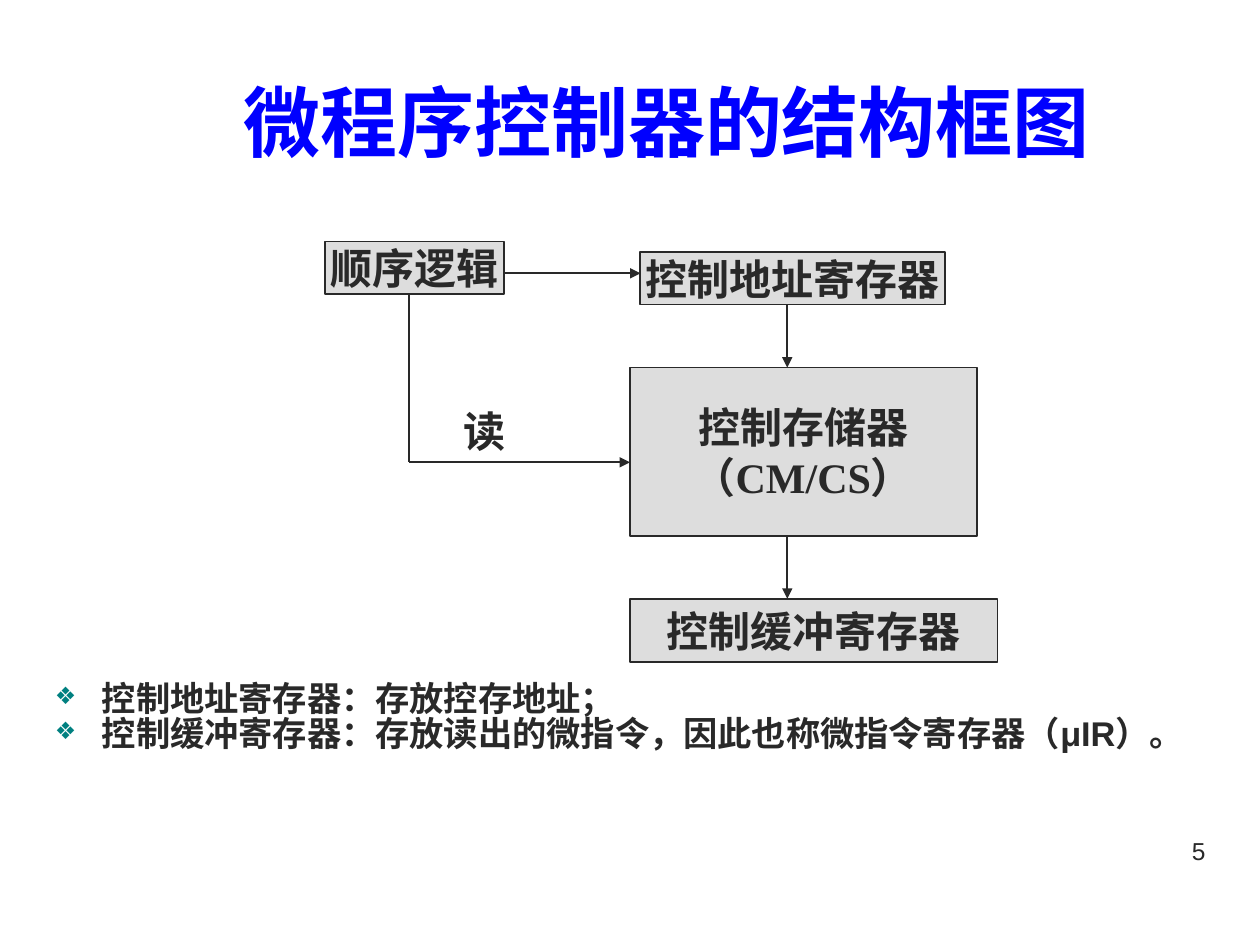
import pptx
import pptx.util
import pptx.dml.color
import pptx.enum.shapes
import pptx.enum.text
import pptx.oxml
import pptx.oxml.ns
from pptx.util import Cm

INK = pptx.dml.color.RGBColor(0x29, 0x29, 0x29)
TITLE_BLUE = pptx.dml.color.RGBColor(0x00, 0x00, 0xFF)
BOX_GREY = pptx.dml.color.RGBColor(0xDD, 0xDD, 0xDD)
BULLET_TEAL = pptx.dml.color.RGBColor(0x00, 0x80, 0x80)

ALIGN = pptx.enum.text.PP_ALIGN
MIDDLE = pptx.enum.text.MSO_ANCHOR.MIDDLE
NO_FIT = pptx.enum.text.MSO_AUTO_SIZE.NONE

TITLE_FONT = {"name": "Arial", "size": pptx.util.Pt(44), "bold": True}
NOTE_FONT = {"name": "Arial", "size": pptx.util.Pt(19.6), "bold": True}
NUMBER_FONT = {"name": "Arial", "size": pptx.util.Pt(14), "bold": False}
DIAGRAM_FONT = {"name": "Times New Roman", "size": pptx.util.Pt(24), "bold": True}


def set_values(target, values):
    """Set every attribute named in a dict of format values."""
    for name, value in values.items():
        setattr(target, name, value)


def place(shape, box):
    """Move a shape to a (left, top, width, height) box."""
    set_values(shape, dict(zip(("left", "top", "width", "height"), box)))


def write_lines(frame, lines, font, color, align):
    """Write one formatted paragraph for each line of text."""
    frame.text = "\n".join(lines)
    for para in frame.paragraphs:
        para.alignment = align
        for span in para.runs:
            set_values(span.font, font)
            span.font.color.rgb = color


def add_label(page, box, text, font, align):
    """Add a wrapping text box with one line of text."""
    frame = page.shapes.add_textbox(*box).text_frame
    frame.word_wrap = True
    write_lines(frame, [text], font, INK, align)


def add_block(page, box, lines):
    """Add a grey rectangle with centred text."""
    block = page.shapes.add_shape(pptx.enum.shapes.MSO_SHAPE.RECTANGLE, *box)
    block.shadow.inherit = False
    block.fill.solid()
    block.fill.fore_color.rgb = BOX_GREY
    block.line.color.rgb = INK
    block.line.width = pptx.util.Pt(1)
    set_values(block.text_frame, {"word_wrap": False, "vertical_anchor": MIDDLE})
    write_lines(block.text_frame, lines, DIAGRAM_FONT, INK, ALIGN.CENTER)
    return block


def add_line(page, start, end, arrow=True):
    """Add a straight line, with an arrowhead at its end if asked."""
    line = page.shapes.add_connector(
        pptx.enum.shapes.MSO_CONNECTOR.STRAIGHT, *start, *end)
    line.line.color.rgb = INK
    line.line.width = pptx.util.Pt(1)
    properties = line._element.spPr
    if arrow:
        head = pptx.oxml.parse_xml(
            f'<a:tailEnd {pptx.oxml.ns.nsdecls("a")} type="triangle"/>')
        line.line._get_or_add_ln().append(head)
    properties.append(pptx.oxml.parse_xml(
        f'<a:effectLst {pptx.oxml.ns.nsdecls("a")}/>'))


def add_bullet(para):
    """Give a paragraph a hanging teal diamond bullet."""
    properties = para._p.get_or_add_pPr()
    set_values_on = {"marL": Cm(0.95), "indent": -Cm(0.95)}
    for name, value in set_values_on.items():
        properties.set(name, str(value))
    for element in (
        f'buClr {{}}><a:srgbClr val="{BULLET_TEAL}"/></a:buClr>',
        'buSzPct {} val="70000"/>',
        'buFont {} typeface="Arial"/>',
        'buChar {} char="❖"/>',
    ):
        xml = "<a:" + element.format(pptx.oxml.ns.nsdecls("a"))
        properties.append(pptx.oxml.parse_xml(xml))


def fill_title(page, box):
    """Place the slide title."""
    title = page.shapes.title
    place(title, box)
    set_values(title.text_frame, {"vertical_anchor": MIDDLE, "auto_size": NO_FIT})
    write_lines(title.text_frame, ["微程序控制器的结构框图"],
                TITLE_FONT, TITLE_BLUE, ALIGN.CENTER)


def fill_notes(page, box):
    """Place the bulleted explanations."""
    body = page.placeholders[1]
    place(body, box)
    frame = body.text_frame
    frame.auto_size = NO_FIT
    lines = ["控制地址寄存器：存放控存地址；",
             "控制缓冲寄存器：存放读出的微指令，因此也称微指令寄存器（μIR）。"]
    write_lines(frame, lines, NOTE_FONT, INK, ALIGN.LEFT)
    for index, para in enumerate(frame.paragraphs):
        add_bullet(para)
        para.line_spacing = 0.7
        para.space_before = pptx.util.Pt(3.5 if index else 0)


def draw_diagram(page, left, top):
    """Draw the controller blocks and their links from a top left corner."""
    def block(x, y, width, height, *lines):
        return add_block(
            page, (left + Cm(x), top + Cm(y), Cm(width), Cm(height)), lines)

    logic = block(0, 0, 3.6, 1.06, "顺序逻辑")
    address = block(6.35, 0.21, 6.14, 1.06, "控制地址寄存器")
    store = block(6.14, 2.54, 6.99, 3.39, "控制存储器", "（CM/CS）")
    buffer = block(6.14, 7.2, 7.41, 1.27, "控制缓冲寄存器")

    address_y = top + Cm(0.64)
    add_line(page, (logic.left + logic.width, address_y), (address.left, address_y))

    column_x = left + Cm(9.31)
    for upper, lower in ((address, store), (store, buffer)):
        add_line(page, (column_x, upper.top + upper.height), (column_x, lower.top))

    corner = (left + Cm(1.69), top + Cm(4.45))
    add_line(page, corner, (store.left, corner[1]))
    add_line(page, (corner[0], logic.top + logic.height), corner, arrow=False)
    add_label(page, (left + Cm(2.54), top + Cm(3.18), Cm(2.12), Cm(1.27)),
              "读", DIAGRAM_FONT, ALIGN.LEFT)


def main():
    """Build and save the slide."""
    deck = pptx.Presentation()
    deck.slide_width, deck.slide_height = Cm(25.4), Cm(19.05)
    page = deck.slides.add_slide(deck.slide_layouts[1])
    fill_title(page, (Cm(2.33), Cm(0.85), Cm(22.23), Cm(3.18)))
    fill_notes(page, (Cm(0.85), Cm(13.75), Cm(23.71), Cm(2.18)))
    draw_diagram(page, Cm(6.56), Cm(4.87))
    add_label(page, (Cm(18.2), Cm(16.72), Cm(6.35), Cm(1.32)),
              "5", NUMBER_FONT, ALIGN.RIGHT)
    deck.save("out.pptx")


if __name__ == "__main__":
    main()
